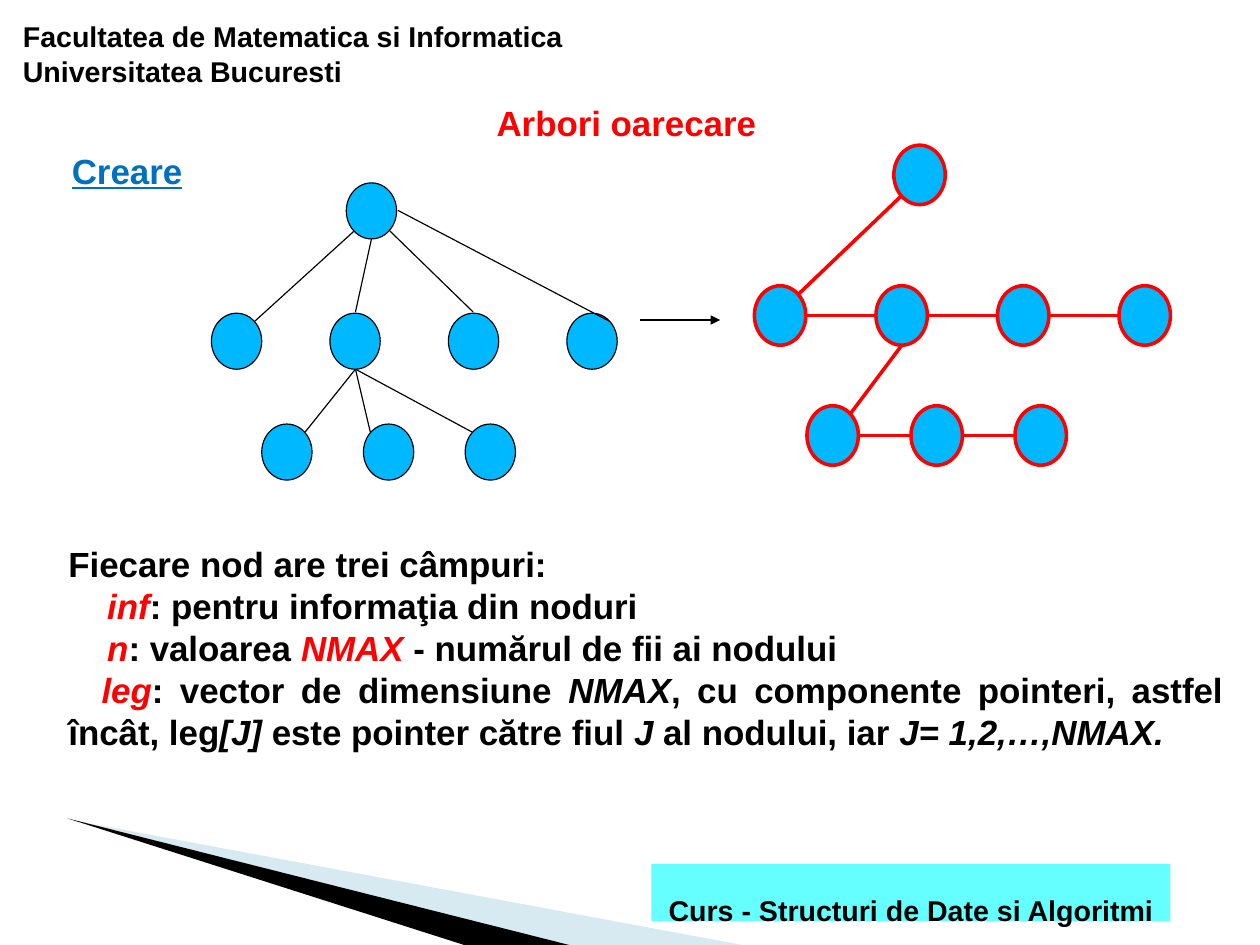
from lxml import etree
from pptx import Presentation, util as u
from pptx.dml.color import RGBColor
from pptx.enum import shapes, text
from pptx.oxml.ns import qn

BLACK = RGBColor(0, 0, 0)
RED = RGBColor(0xFF, 0, 0)
BLUE = RGBColor(0x00, 0x70, 0xC0)
NODE_BLUE = RGBColor(0x00, 0xB8, 0xFF)
CYAN = RGBColor(0x66, 0xFF, 0xFF)
PALE_BLUE = RGBColor(0x9F, 0xCB, 0xDC)


def add_run(paragraph, content, size=22, color=BLACK, italic=False, underline=False):
    run = paragraph.add_run()
    run.text = content
    run.font.name = "Arial"
    run.font.size = u.Pt(size)
    run.font.bold = True
    run.font.italic = italic
    run.font.underline = underline
    run.font.color.rgb = color


def add_frame(shape, margin_x, margin_y, anchor=text.MSO_ANCHOR.TOP):
    frame = shape.text_frame
    frame.word_wrap = True
    frame.margin_left = frame.margin_right = u.Inches(margin_x)
    frame.margin_top = frame.margin_bottom = u.Inches(margin_y)
    frame.vertical_anchor = anchor
    return frame


presentation = Presentation()
presentation.slide_width = u.Inches(28 / 2.54)
presentation.slide_height = u.Inches(21 / 2.54)
slide = presentation.slides.add_slide(presentation.slide_layouts[6])

wedges = [
    (PALE_BLUE, 40, [(0.6, 7.17), (6.56, 8.28), (5.03, 8.28)]),
    (BLACK, 100, [(0.59, 7.16), (5.03, 8.28), (4.1, 8.28)]),
]
for color, opacity, points in wedges:
    corners = [(u.Inches(x), u.Inches(y)) for x, y in points]
    builder = slide.shapes.build_freeform(*corners[0])
    builder.add_line_segments(corners[1:], close=True)
    wedge = builder.convert_to_shape()
    wedge.shadow.inherit = False
    wedge.fill.solid()
    wedge.fill.fore_color.rgb = color
    wedge.line.fill.background()
    if opacity < 100:
        color_element = wedge._element.spPr.find(qn("a:solidFill"))[0]
        etree.SubElement(color_element, qn("a:alpha"), val=str(opacity * 1000))

header = slide.shapes.add_textbox(u.Inches(0.09), u.Inches(0.09), u.Inches(5.51), u.Inches(0.73))
paragraph = add_frame(header, 0.11, 0.06).paragraphs[0]
paragraph.line_spacing = 1.04
add_run(paragraph, "Facultatea de Matematica si Informatica Universitatea Bucuresti", size=18)

subtitle = slide.shapes.add_textbox(u.Inches(0.53), u.Inches(1.2), u.Inches(2.22), u.Inches(0.58))
paragraph = add_frame(subtitle, 0.1, 0.05, text.MSO_ANCHOR.MIDDLE).paragraphs[0]
add_run(paragraph, "Creare", color=BLUE, underline=True)

footer = slide.shapes.add_shape(
    shapes.MSO_SHAPE.RECTANGLE, u.Inches(5.7), u.Inches(7.56), u.Inches(4.54), u.Inches(0.5))
footer.shadow.inherit = False
footer.fill.solid()
footer.fill.fore_color.rgb = CYAN
footer.line.fill.background()
paragraph = add_frame(footer, 0.1, 0.05, text.MSO_ANCHOR.MIDDLE).paragraphs[0]
paragraph.alignment = text.PP_ALIGN.CENTER
paragraph.line_spacing = 2.0
add_run(paragraph, "Curs - Structuri de Date si Algoritmi", size=18)

title = slide.shapes.add_textbox(u.Inches(3.62), u.Inches(0.88), u.Inches(3.72), u.Inches(0.39))
paragraph = add_frame(title, 0, 0.01).paragraphs[0]
paragraph.alignment = text.PP_ALIGN.CENTER
add_run(paragraph, "Arbori oarecare", color=RED)

field_name = {"color": RED, "italic": True}
symbol = {"italic": True}
field_lines = [
    (0, [("Fiecare nod are trei câmpuri:", {})]),
    (0.34, [("inf", field_name), (": pentru informaţia din noduri", {})]),
    (0.34, [("n", field_name), (": valoarea ", {}), ("NMAX", field_name),
            (" - numărul de fii ai nodului", {})]),
    (0.29, [("leg", field_name), (": vector de dimensiune", {}), (" NMAX", symbol),
            (", cu componente pointeri, astfel încât, leg", {}), ("[J]", symbol),
            (" este pointer către fiul", {}), (" J ", symbol),
            ("al nodului, iar ", {}), ("J= 1,2,…,NMAX.", symbol)]),
]
fields = slide.shapes.add_textbox(u.Inches(0.5), u.Inches(4.7), u.Inches(10.3), u.Inches(1.93))
frame = add_frame(fields, 0.1, 0.05)
for number, (indent, runs) in enumerate(field_lines):
    paragraph = frame.add_paragraph() if number else frame.paragraphs[0]
    paragraph.alignment = text.PP_ALIGN.JUSTIFY
    paragraph._p.get_or_add_pPr().set("indent", str(u.Inches(indent)))
    for content, style in runs:
        add_run(paragraph, content, **style)

general_rows = [(3.03, 1.6, 0, 1), (1.85, 2.74, 3.11 / 3, 4), (2.29, 3.71, 0.89, 3)]
general_edges = [
    (3.1, 2.02, 2.23, 2.81), (3.25, 2.09, 3.11, 2.73),
    (3.41, 2.02, 4.14, 2.73), (3.48, 1.84, 5.33, 2.81),
    (3.11, 3.23, 2.67, 3.78), (3.11, 3.23, 3.24, 3.78), (3.11, 3.23, 4.13, 3.78),
]
linked_rows = [(7.82, 1.27, 0, 1), (6.6, 2.5, 3.19 / 3, 4), (7.06, 3.55, 0.91, 3)]
linked_edges = [(7.88, 1.72, 6.99, 2.57), (7.89, 3.02, 7.44, 3.62)]
for left, top, step, count in linked_rows[1:]:
    for index in range(count - 1):
        start = left + index * step
        linked_edges.append((start + 0.46, top + 0.26, start + step, top + 0.26))

diagrams = [
    (BLACK, 0.75, 0.44, 0.49, general_rows, general_edges),
    (RED, 2.25, 0.45, 0.52, linked_rows, linked_edges),
    (BLACK, 0.75, 0, 0, [], [(5.6, 2.8, 6.3, 2.8)]),
]
for color, line_width, width, height, rows, edges in diagrams:
    for left, top, step, count in rows:
        for index in range(count):
            node = slide.shapes.add_shape(
                shapes.MSO_SHAPE.OVAL, u.Inches(left + index * step), u.Inches(top),
                u.Inches(width), u.Inches(height))
            node.shadow.inherit = False
            node.fill.solid()
            node.fill.fore_color.rgb = NODE_BLUE
            node.line.color.rgb = color
            node.line.width = u.Pt(line_width)
    for edge in edges:
        connector = slide.shapes.add_connector(
            shapes.MSO_CONNECTOR.STRAIGHT, *[u.Inches(value) for value in edge])
        connector.line.color.rgb = color
        connector.line.width = u.Pt(line_width)
        etree.SubElement(connector._element.spPr, qn("a:effectLst"))

arrow_line = connector._element.spPr.find(qn("a:ln"))
etree.SubElement(arrow_line, qn("a:tailEnd"), type="triangle")

presentation.save("out.pptx")
